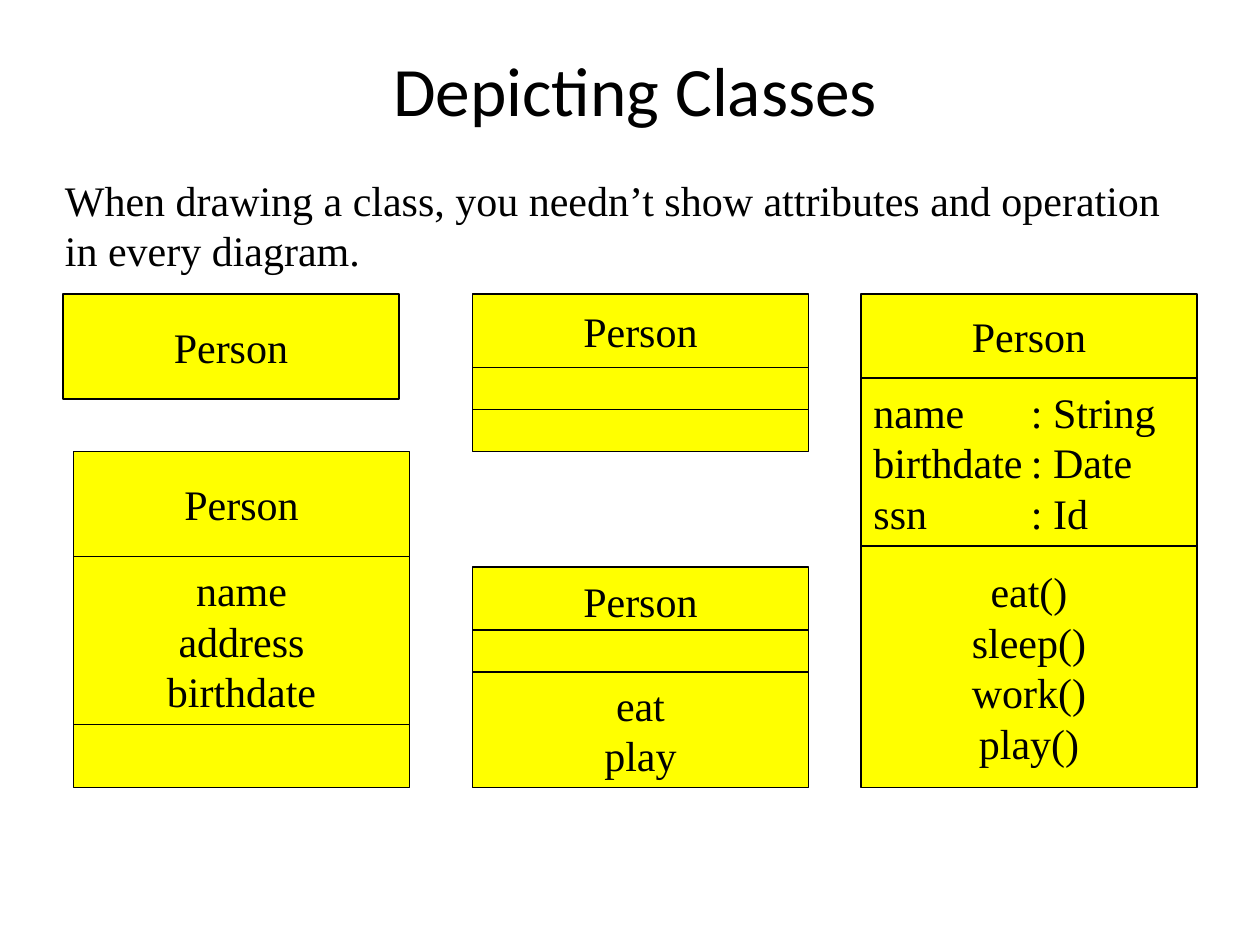
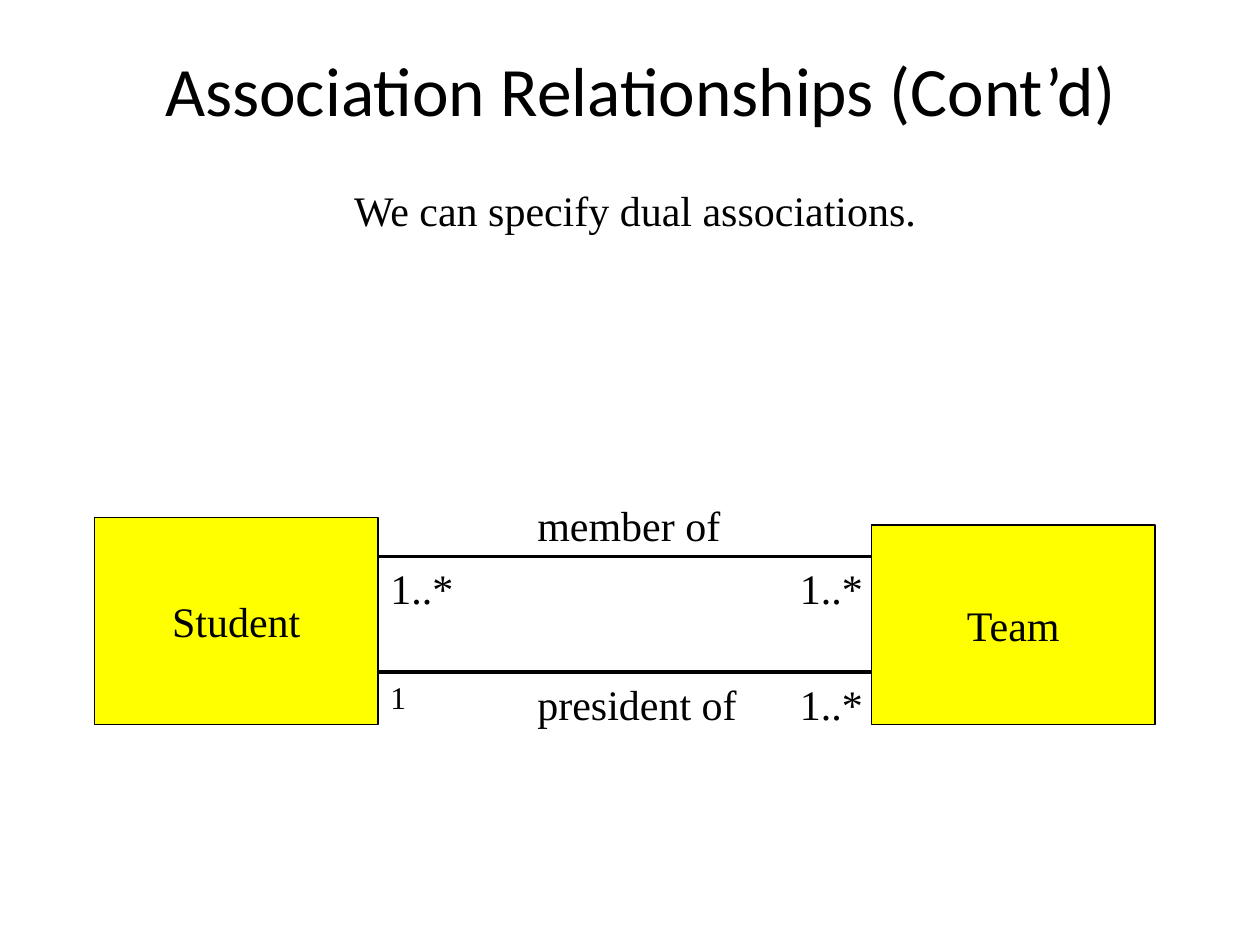
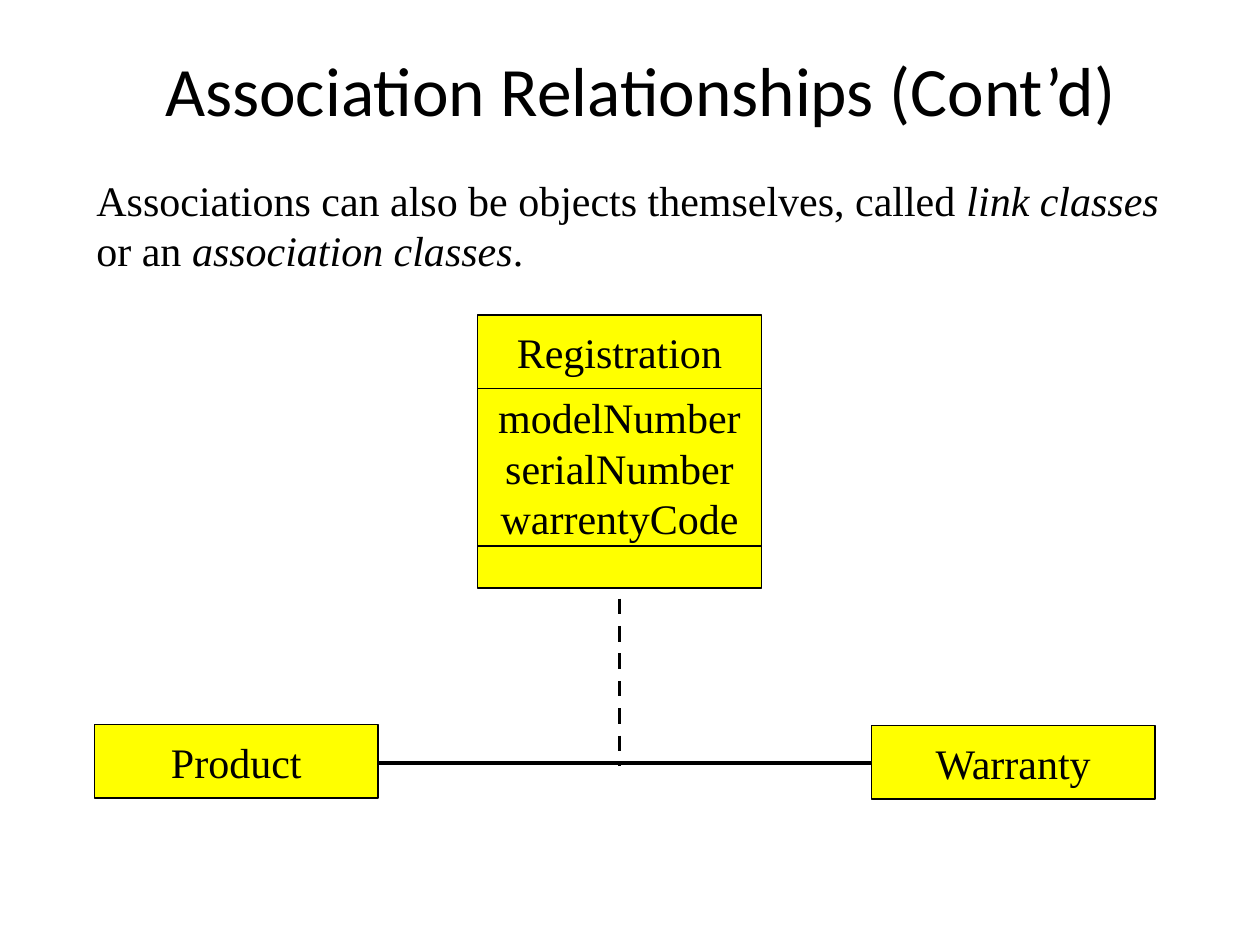
"""Build three slides on drawing classes and their associations."""
import dataclasses

import pptx
import pptx.dml.color
import pptx.enum.dml
import pptx.enum.shapes
import pptx.enum.text
import pptx.oxml.xmlchemy
import pptx.util
from lxml import etree

PX = 7620
LEFT = pptx.enum.text.PP_ALIGN.LEFT
MID = pptx.enum.text.PP_ALIGN.CENTER
RECT = pptx.enum.shapes.MSO_SHAPE.RECTANGLE
LINE = pptx.enum.shapes.MSO_CONNECTOR.STRAIGHT
NS = "{http://schemas.openxmlformats.org/drawingml/2006/main}"


@dataclasses.dataclass(frozen=True)
class Theme:
    """Hold the shared colours, fonts and sizes."""
    ink: pptx.dml.color.RGBColor = pptx.dml.color.RGBColor(0, 0, 0)
    fill: pptx.dml.color.RGBColor = pptx.dml.color.RGBColor(255, 255, 0)
    head: str = "Calibri"
    body: str = "Times New Roman"
    title: float = 39.6
    text: int = 24
    small: int = 18
    edge: float = 0.75
    link: float = 2.25


theme = Theme()


def style(shape, align, size=theme.text, face=theme.body):
    """Format the text of a shape."""
    frame = shape.text_frame
    frame.word_wrap = True
    for para in frame.paragraphs:
        para.alignment = align
        para.font.size = pptx.util.Pt(size)
        for run in para.runs:
            run.font.size = pptx.util.Pt(size)
            run.font.name = face
            run.font.color.rgb = theme.ink


def label(slide, place, text, align=LEFT, size=theme.text):
    """Add a text box in which underscores enclose italics."""
    box = slide.shapes.add_textbox(*[n * PX for n in place])
    para = box.text_frame.paragraphs[0]
    for i, part in enumerate(text.split("_")):
        run = para.add_run()
        run.text = part
        if i % 2:
            run.font.italic = True
    style(box, align, size)
    box.text_frame.auto_size = pptx.enum.text.MSO_AUTO_SIZE.SHAPE_TO_FIT_TEXT


TAB = 150
WIDE, SLIM = 320, 270
pages = [
    {
        "title": ("Depicting Classes", 90, 1030),
        "links": [],
        "stacks": [
            (820, WIDE, [
                (280, 80, "Person"),
                (360, 160, "name	: String\nbirthdate	: Date\nssn	: Id"),
                (520, 230, "eat()\nsleep()\nwork()\nplay()")]),
            (60, WIDE, [(280, 100, "Person")]),
            (70, WIDE, [
                (430, 100, "Person"),
                (530, 160, "name\naddress\nbirthdate"),
                (690, 60, "")]),
            (450, WIDE, [
                (540, 64, "Person"),
                (600, 40, ""),
                (640, 110, "eat\nplay")]),
            (450, WIDE, [
                (280, 70, "Person"), (350, 40, ""), (390, 40, "")]),
        ],
        "notes": [
            ((50, 160, 1096, 108),
             "When drawing a class, you needn’t show attributes"
             " and operation in every diagram."),
        ],
    },
    {
        "title": ("Association Relationships (Cont’d)", 80, 1060),
        "links": [(360, 530, 840, 530, False), (360, 640, 830, 640, False)],
        "stacks": [
            (830, SLIM, [(500, 190, "Team")]),
            (90, SLIM, [(493, 197, "Student")]),
        ],
        "notes": [
            ((90, 170, 1030, 60), "We can specify dual associations.", MID),
            ((500, 470, 230, 60), "member of"),
            ((360, 530, 90, 60), "1..*"),
            ((500, 640, 230, 60), "president of"),
            ((360, 640, 50, 48), "1", LEFT, theme.small),
            ((750, 640, 90, 60), "1..*"),
            ((750, 530, 90, 60), "1..*"),
        ],
    },
    {
        "title": ("Association Relationships (Cont’d)", 80, 1060),
        "links": [(360, 727, 840, 727, False), (590, 570, 590, 730, True)],
        "stacks": [
            (830, SLIM, [(691, 70, "Warranty")]),
            (90, SLIM, [(690, 70, "Product")]),
            (455, SLIM, [
                (520, 40, ""),
                (300, 70, "Registration"),
                (370, 150, "modelNumber\nserialNumber\nwarrentyCode")]),
        ],
        "notes": [
            ((80, 160, 1064, 108),
             "Associations can also be objects themselves, called"
             " _link classes_ or an _association classes_."),
        ],
    },
]

deck = pptx.Presentation()
deck.slide_width = 1200 * PX
deck.slide_height = 900 * PX

for page in pages:
    slide = deck.slides.add_slide(deck.slide_layouts[5])
    text, left, width = page["title"]
    title = slide.shapes.title
    title.left, title.top = left * PX, 50 * PX
    title.width, title.height = width * PX, 70 * PX
    title.text_frame.text = text
    title.text_frame.vertical_anchor = pptx.enum.text.MSO_ANCHOR.MIDDLE
    style(title, MID, theme.title, theme.head)
    title.text_frame.auto_size = pptx.enum.text.MSO_AUTO_SIZE.NONE

    for *ends, dashed in page["links"]:
        link = slide.shapes.add_connector(LINE, *[n * PX for n in ends])
        link.line.color.rgb = theme.ink
        link.line.width = pptx.util.Pt(theme.link)
        if dashed:
            link.line.dash_style = pptx.enum.dml.MSO_LINE.DASH
        etree.SubElement(link._element.spPr, NS + "effectLst")

    for left, width, rows in page["stacks"]:
        for top, height, text in rows:
            box = slide.shapes.add_shape(
                RECT, left * PX, top * PX, width * PX, height * PX)
            box.shadow.inherit = False
            box.fill.solid()
            box.fill.fore_color.rgb = theme.fill
            box.line.color.rgb = theme.ink
            box.line.width = pptx.util.Pt(theme.edge)
            box.text_frame.text = text
            box.text_frame.vertical_anchor = pptx.enum.text.MSO_ANCHOR.MIDDLE
            tabbed = "	" in text
            if tabbed:
                for para in box.text_frame.paragraphs:
                    props = para._p.get_or_add_pPr()
                    tabs = etree.SubElement(props, NS + "tabLst")
                    etree.SubElement(
                        tabs, NS + "tab", pos=str(TAB * PX), algn="l")
            style(box, LEFT if tabbed else MID)

    for note in page["notes"]:
        label(slide, *note)

deck.save("out.pptx")
